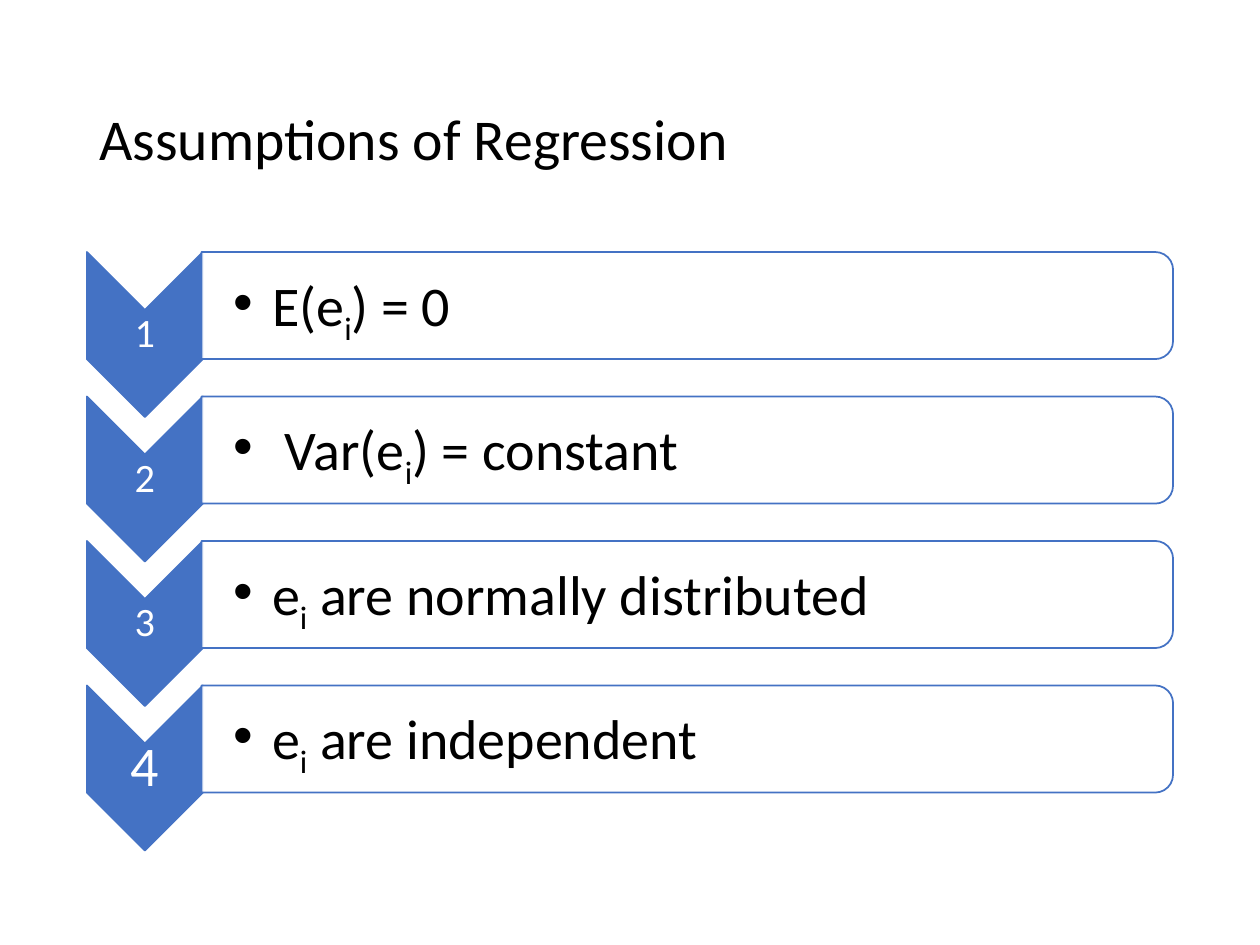
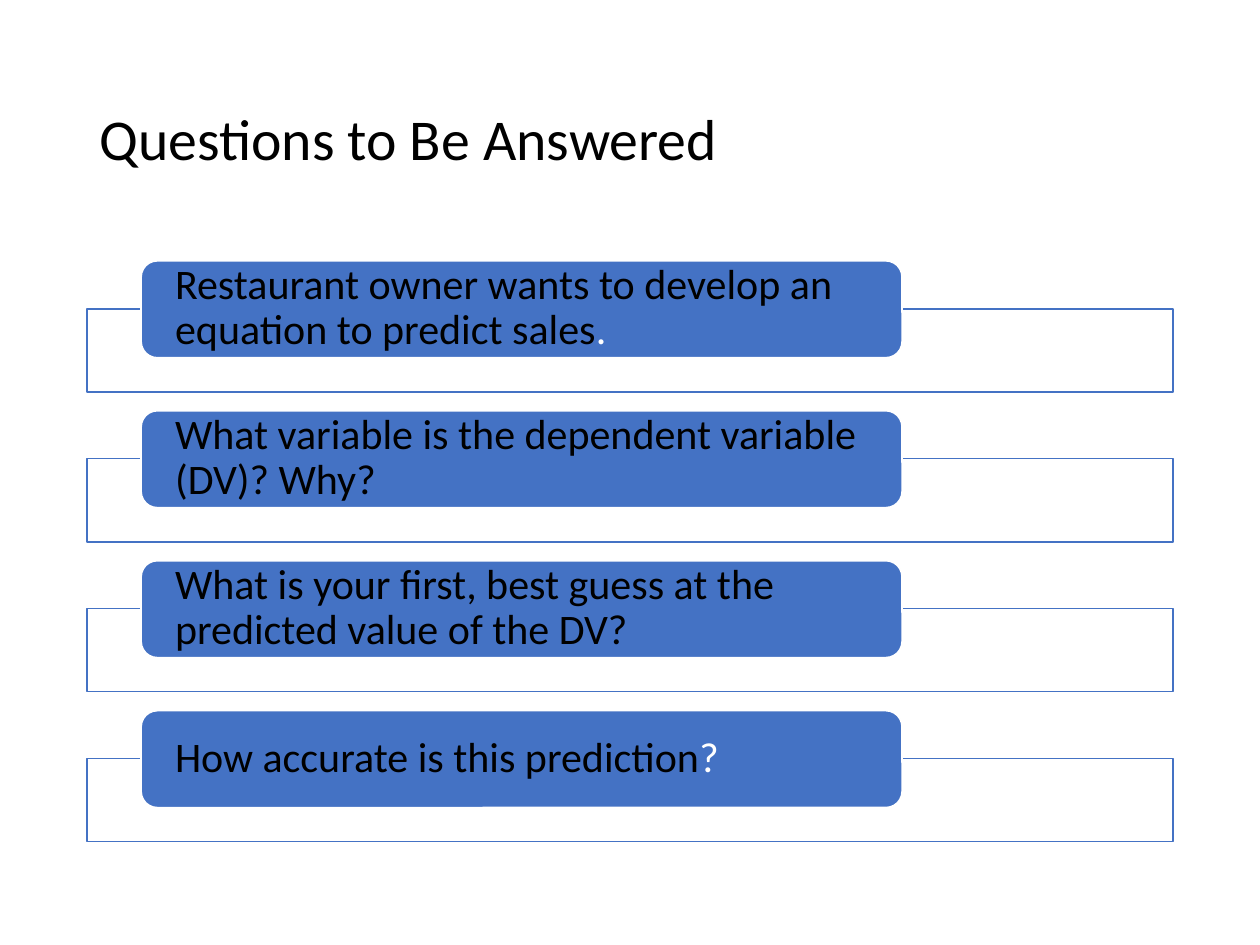
"""Build two slides on regression assumptions and the questions to be answered."""
from dataclasses import dataclass

from lxml.etree import SubElement
from pptx import Presentation
from pptx.dml.color import RGBColor as RGB
from pptx.enum.shapes import MSO_SHAPE as SHAPE
from pptx.enum.text import MSO_ANCHOR as ANCHOR, PP_ALIGN as ALIGN
from pptx.oxml.ns import qn
from pptx.util import Inches, Pt


@dataclass(frozen=True)
class Theme:
    font: str = "Calibri"
    blue: RGB = RGB(0x44, 0x72, 0xC4)
    white: RGB = RGB(0xFF, 0xFF, 0xFF)
    black: RGB = RGB(0, 0, 0)
    title: int = 33
    body: int = 32
    question: int = 24
    number: int = 23
    line: int = 1
    spacing: float = 0.9
    panel_alpha: int = 90
    subscript: int = -25


T = Theme()
LEFT, WIDTH = 0.69, 8.62
TITLE_BOX = (LEFT, 0.4, WIDTH, 1.45)

ASSUMPTIONS_TITLE = "Assumptions of Regression"
ASSUMPTIONS = [
    ("1", T.number, "E(e", ") = 0"),
    ("2", T.number, " Var(e", ") = constant"),
    ("3", T.number, "e", " are normally distributed"),
    ("4", T.body, "e", " are independent"),
]
ASSUMPTION_TOPS = (2.0, 5.44)

QUESTIONS_TITLE = "Questions to Be Answered"
QUESTIONS = [
    ("Restaurant owner wants to develop an equation to predict sales", "."),
    ("What variable is the dependent variable (DV)? Why?", ""),
    ("What is your first, best guess at the predicted value of the DV?", ""),
    ("How accurate is this prediction", "?"),
]
QUESTION_TOPS = (2.07, 5.64)


def row_tops(span, count):
    first, last = span
    return [first + i * (last - first) / (count - 1) for i in range(count)]


def add_text(s, box, parts, size, insets=(0.1, 0.05, 0.1, 0.05), align=ALIGN.LEFT):
    tf = s.shapes.add_textbox(*map(Inches, box)).text_frame
    tf.word_wrap = True
    tf.vertical_anchor = ANCHOR.MIDDLE
    tf.margin_left, tf.margin_top, tf.margin_right, tf.margin_bottom = map(Inches, insets)
    p = tf.paragraphs[0]
    p.alignment = align
    p.line_spacing = T.spacing
    for text, color in parts:
        r = p.add_run()
        r.text = text
        r.font.name, r.font.size = T.font, Pt(size)
        r.font.color.rgb = color
    return p


def add_bullet(p, indent):
    pPr = p._p.get_or_add_pPr()
    pPr.set("marL", str(Inches(indent)))
    pPr.set("indent", str(-Inches(indent)))
    SubElement(pPr, qn("a:buFont"), typeface="Arial")
    SubElement(pPr, qn("a:buChar"), char="•")


def add_block(s, kind, box, fill, line, alpha=None, turned=False):
    x, y, w, h = box
    if turned:
        x, y, w, h = x + (w - h) / 2, y + (h - w) / 2, h, w
    sp = s.shapes.add_shape(kind, *map(Inches, (x, y, w, h)))
    sp.rotation = 90 if turned else 0
    sp.shadow.inherit = False
    sp.fill.solid()
    sp.fill.fore_color.rgb = fill
    sp.line.color.rgb = line
    sp.line.width = Pt(T.line)
    if alpha:
        color = sp._element.spPr.find(qn("a:solidFill"))[0]
        SubElement(color, qn("a:alpha"), val=str(alpha * 1000))


def add_titled_slide(prs, title):
    s = prs.slides.add_slide(prs.slide_layouts[6])
    add_text(s, TITLE_BOX, [(title, T.black)], T.title)
    return s


def add_assumption(s, y, number, number_size, before, after):
    pad = (0.02,) * 4
    add_block(s, SHAPE.CHEVRON, (LEFT, y, 0.92, 1.31), T.blue, T.blue, turned=True)
    add_text(s, (LEFT, y + 0.46, 0.92, 0.39), [(number, T.white)], number_size, pad, ALIGN.CENTER)
    add_block(s, SHAPE.ROUND_2_SAME_RECTANGLE, (1.6, y, 7.71, 0.85), T.white, T.blue,
              T.panel_alpha, turned=True)
    parts = [(text, T.black) for text in (before, "i", after)]
    p = add_text(s, (1.6, y + 0.04, 7.67, 0.77), parts, T.body, (0.25, *pad[1:]))
    p.runs[1].font._element.set("baseline", str(T.subscript * 1000))
    add_bullet(p, 0.31)


def add_question(s, y, text, mark):
    add_block(s, SHAPE.RECTANGLE, (LEFT, y + 0.38, WIDTH, 0.66), T.white, T.blue, T.panel_alpha)
    add_block(s, SHAPE.ROUNDED_RECTANGLE, (1.12, y, 6.04, 0.77), T.blue, T.white)
    parts = [(text, T.black)] + ([(mark, T.white)] if mark else [])
    add_text(s, (1.16, y + 0.03, 5.96, 0.7), parts, T.question, (0.23, 0, 0.23, 0))


def main():
    prs = Presentation()
    prs.slide_width, prs.slide_height = Inches(10), Inches(7.5)
    for title, rows, span, add_row in (
        (ASSUMPTIONS_TITLE, ASSUMPTIONS, ASSUMPTION_TOPS, add_assumption),
        (QUESTIONS_TITLE, QUESTIONS, QUESTION_TOPS, add_question),
    ):
        s = add_titled_slide(prs, title)
        for y, row in zip(row_tops(span, len(rows)), rows):
            add_row(s, y, *row)
    prs.save("out.pptx")


if __name__ == "__main__":
    main()
